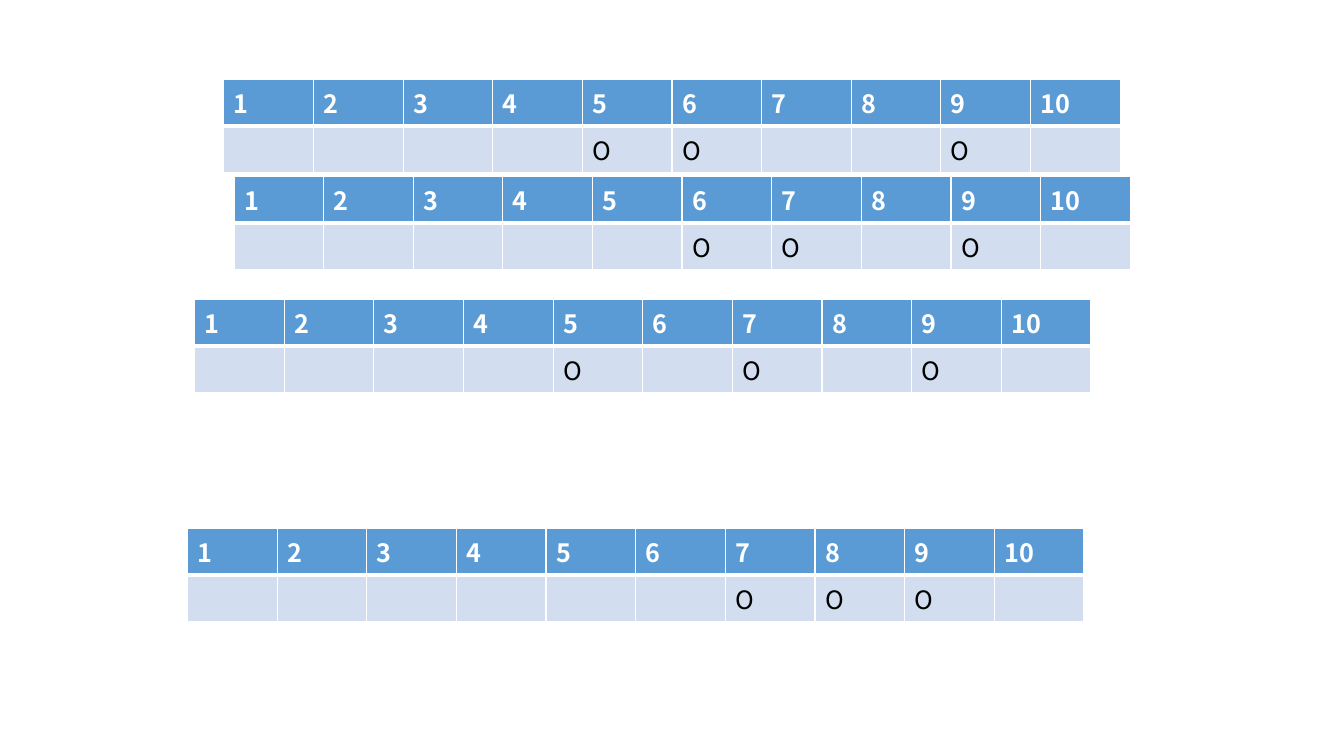
from lxml.etree import SubElement as Sub
from pptx import Presentation as Deck
from pptx.dml.color import RGBColor as RGB
from pptx.oxml.ns import qn
from pptx.util import Inches, Pt

WHITE = RGB(0xFF, 0xFF, 0xFF)
BLACK = RGB(0x00, 0x00, 0x00)
BLUE = RGB(0x5B, 0x9B, 0xD5)
PALE = RGB(0xD2, 0xDE, 0xEF)

COUNT = 10
WIDTH, HEIGHT = 8.89, 0.81

# left, top, marked columns
GRIDS = [
    (2.22, 0.79, {5, 6, 9}),
    (1.93, 2.97, {5, 7, 9}),
    (1.86, 5.24, {7, 8, 9}),
    (2.32, 1.75, {6, 7, 9}),
]


class Board:
    head = {"fill": BLUE, "edges": {"L": 1, "R": 1, "T": 1, "B": 3},
            "font": {"bold": True, "color": WHITE}}
    body = {"fill": PALE, "edges": {"L": 1, "R": 1, "T": 3, "B": 1},
            "font": {"bold": False, "color": BLACK}}
    base = {"name": "Noto Sans CJK KR", "size": Pt(18)}

    def __init__(self, slide):
        self.slide = slide

    def edge(self, cell, side, width):
        props = cell._tc.get_or_add_tcPr()
        line = Sub(props, qn("a:ln" + side), w=str(Pt(width)))
        fill = Sub(line, qn("a:solidFill"))
        Sub(fill, qn("a:srgbClr"), val=str(WHITE))

    def cell(self, cell, text, style):
        for side, width in style["edges"].items():
            self.edge(cell, side, width)
        cell.fill.solid()
        cell.fill.fore_color.rgb = style["fill"]
        if not text:
            return
        run = cell.text_frame.paragraphs[0].add_run()
        run.text = text
        for key, value in {**self.base, **style["font"]}.items():
            if key == "color":
                run.font.color.rgb = value
            else:
                setattr(run.font, key, value)

    def grid(self, left, top, marks):
        """Add a numbered table with an O under each marked column."""
        table = self.slide.shapes.add_table(
            2, COUNT, Inches(left), Inches(top),
            Inches(WIDTH), Inches(HEIGHT)).table
        for i in range(COUNT):
            number = i + 1
            self.cell(table.cell(0, i), str(number), self.head)
            self.cell(table.cell(1, i), "O" if number in marks else "",
                      self.body)


def main():
    deck = Deck()
    deck.slide_width, deck.slide_height = Inches(13.33), Inches(7.5)
    board = Board(deck.slides.add_slide(deck.slide_layouts[6]))
    for left, top, marks in GRIDS:
        board.grid(left, top, marks)
    deck.save("out.pptx")


if __name__ == "__main__":
    main()
